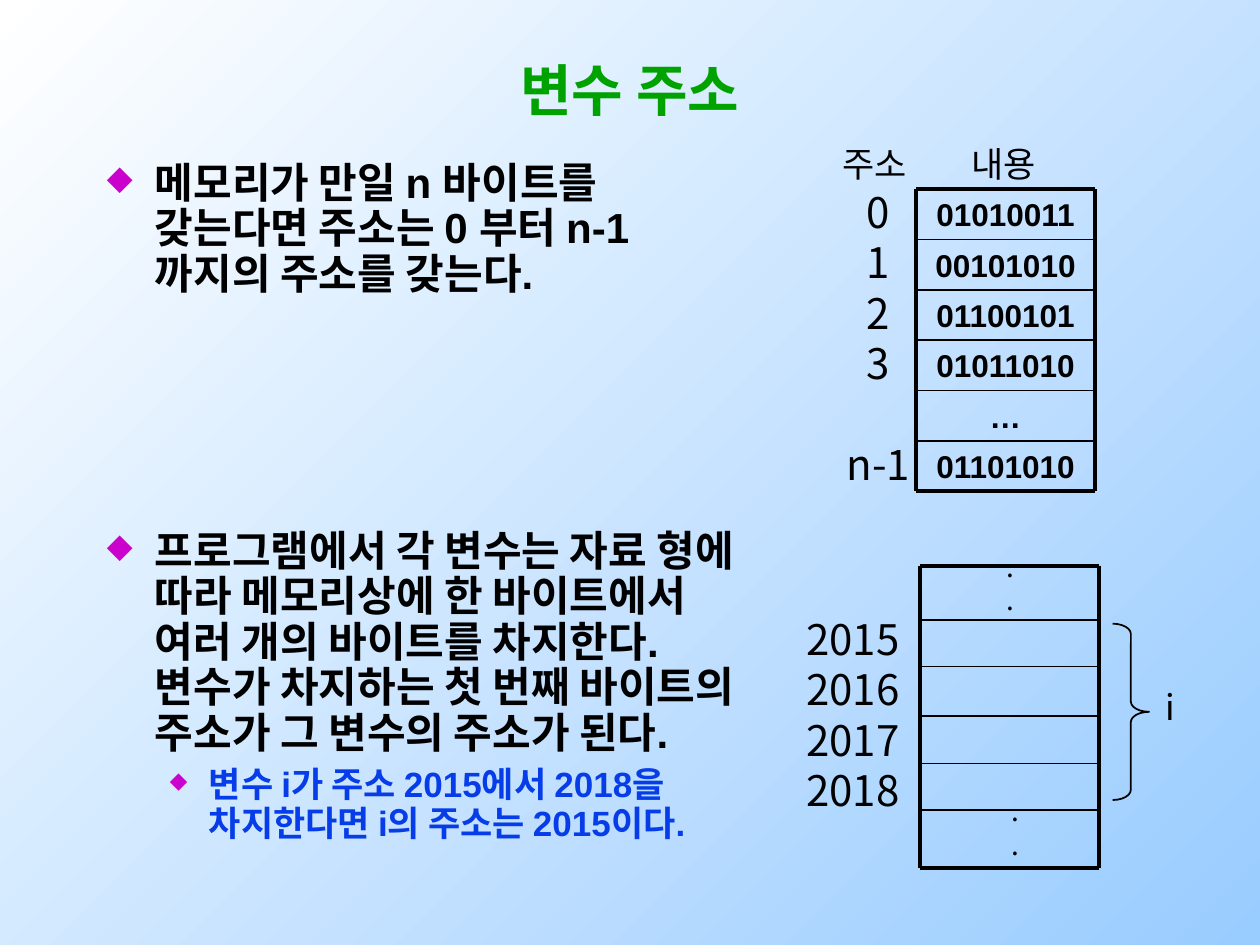
from dataclasses import dataclass

from lxml import etree
from pptx import Presentation
from pptx.dml.color import RGBColor
from pptx.enum.shapes import MSO_CONNECTOR, MSO_SHAPE
from pptx.enum.text import MSO_ANCHOR, PP_ALIGN
from pptx.oxml.ns import qn
from pptx.util import Inches, Pt

STRAIGHT = MSO_CONNECTOR.STRAIGHT
RIGHT_BRACE = MSO_SHAPE.RIGHT_BRACE
TOP, MIDDLE = MSO_ANCHOR.TOP, MSO_ANCHOR.MIDDLE
LEFT, CENTER = PP_ALIGN.LEFT, PP_ALIGN.CENTER
LATIN, KOREAN = "Arial", "Noto Sans CJK KR"
COLORS = {
    "white": "FFFFFF",
    "sky": "99CCFF",
    "title": "00A200",
    "ink": "000000",
    "detail": "063DE8",
    "bullet": "CC00CC",
}


@dataclass(frozen=True)
class Style:
    size: float
    font: str = KOREAN
    color: str = "ink"
    bold: bool = False
    align: PP_ALIGN = CENTER
    spacing: float | None = None


@dataclass(frozen=True)
class Bullet:
    text: str
    style: Style
    indent: float
    hanging: float
    percent: int
    level: int = 0
    before: float = 0


@dataclass(frozen=True)
class Label:
    left: float
    top: float
    width: float
    height: float
    lines: tuple[str, ...]
    style: Style
    anchor: MSO_ANCHOR = MIDDLE
    wrap: bool = True


@dataclass(frozen=True)
class Memory:
    left: float
    width: float
    edges: tuple[float, ...]


TITLE = Style(32, LATIN, "title", True)
POINT = Style(24, LATIN, "ink", True, LEFT, 26)
DETAIL = Style(20, LATIN, "detail", True, LEFT, 22.3)
ADDRESS = Style(24, spacing=28.8)
HEADER = Style(20, align=LEFT)
CONTENT = Style(18, LATIN, bold=True)
DOTS = Style(16, spacing=19.2)

CELL_HEIGHT = 0.4
CONTENTS = ("01010011", "00101010", "01100101", "01011010", "…", "01101010")
BYTES = Memory(7.27, 1.42, tuple(1.5 + CELL_HEIGHT * row for row in range(len(CONTENTS) + 1)))
VARIABLE = Memory(7.3, 1.42, (4.49, 4.92, 5.29, 5.68, 6.06, 6.43, 6.89))

LABELS = (
    Label(0.75, 0.33, 8.5, 0.75, ("변수 주소",), TITLE),
    Label(6.59, 1.08, 0.71, 0.44, ("주소",), HEADER, wrap=False),
    Label(7.61, 1.08, 0.71, 0.44, ("내용",), HEADER, wrap=False),
    Label(6.38, 1.43, 1.18, 1.7, ("0", "1", "2", "3"), ADDRESS, TOP),
    Label(6.38, 3.43, 1.18, 0.5, ("n-1",), ADDRESS, TOP),
    Label(6.18, 4.82, 1.18, 1.7, ("2015", "2016", "2017", "2018"), ADDRESS, TOP),
    Label(9.15, 5.39, 0.27, 0.44, ("i",), HEADER, wrap=False),
    Label(7.89, 4.31, 0.24, 0.63, (".", "."), DOTS, TOP),
    Label(7.93, 6.25, 0.24, 0.63, (".", "."), DOTS, TOP),
)

MEMORY_POINT = Bullet(
    "메모리가 만일 n 바이트를 갖는다면 주소는 0 부터 n-1 까지의 주소를 갖는다.",
    POINT, 0.38, 0.38, 80,
)
VARIABLE_POINT = Bullet(
    "프로그램에서 각 변수는 자료 형에 따라 메모리상에 한 바이트에서 여러 개의 "
    "바이트를 차지한다. 변수가 차지하는 첫 번째 바이트의 주소가 그 변수의 주소가 된다.",
    POINT, 0.38, 0.38, 80,
)
EXAMPLE = Bullet(
    "변수 i가 주소 2015에서 2018을 차지한다면 i의 주소는 2015이다.",
    DETAIL, 0.81, 0.31, 65, 1, 5,
)


def rgb(name: str) -> RGBColor:
    return RGBColor.from_string(COLORS[name])


def add_frame(page, left: float, top: float, width: float, height: float,
              anchor: MSO_ANCHOR = TOP, wrap: bool = True):
    box = page.shapes.add_textbox(Inches(left), Inches(top), Inches(width), Inches(height))
    frame = box.text_frame
    frame.word_wrap = wrap
    frame.vertical_anchor = anchor
    return frame


def write(para, text: str, style: Style) -> None:
    para.alignment = style.align
    if style.spacing:
        para.line_spacing = Pt(style.spacing)
    span = para.add_run()
    span.text = text
    span.font.size = Pt(style.size)
    span.font.bold = style.bold
    span.font.color.rgb = rgb(style.color)
    span.font.name = style.font
    etree.SubElement(span.font._element, qn("a:ea"), typeface=KOREAN)


def add_label(page, label: Label) -> None:
    frame = add_frame(page, label.left, label.top, label.width, label.height,
                      label.anchor, label.wrap)
    for index, line in enumerate(label.lines):
        para = frame.add_paragraph() if index else frame.paragraphs[0]
        write(para, line, label.style)


def add_bullets(page, top: float, height: float, bullets: tuple[Bullet, ...]) -> None:
    frame = add_frame(page, 0.75, top, 5.35, height)
    for index, bullet in enumerate(bullets):
        para = frame.add_paragraph() if index else frame.paragraphs[0]
        properties = para._p.get_or_add_pPr()
        properties.set("marL", str(Inches(bullet.indent)))
        properties.set("indent", str(-Inches(bullet.hanging)))
        color = etree.SubElement(properties, qn("a:buClr"))
        etree.SubElement(color, qn("a:srgbClr"), val=COLORS["bullet"])
        etree.SubElement(properties, qn("a:buSzPct"), val=str(bullet.percent * 1000))
        etree.SubElement(properties, qn("a:buChar"), char="◆")
        para.level = bullet.level
        if index:
            para.space_before = Pt(bullet.before)
        write(para, bullet.text, bullet.style)


def add_line(page, start: tuple[float, float], end: tuple[float, float], weight: float) -> None:
    line = page.shapes.add_connector(STRAIGHT, *map(Inches, start + end))
    line.line.color.rgb = rgb("ink")
    line.line.width = Pt(weight)
    etree.SubElement(line._element.spPr, qn("a:effectLst"))


def add_memory(page, memory: Memory) -> None:
    right = memory.left + memory.width
    top, bottom = memory.edges[0], memory.edges[-1]
    for edge in memory.edges:
        weight = 2.25 if edge in (top, bottom) else 1
        add_line(page, (memory.left, edge), (right, edge), weight)
    for side in (memory.left, right):
        add_line(page, (side, top), (side, bottom), 2.25)


def add_brace(page) -> None:
    brace = page.shapes.add_shape(RIGHT_BRACE, Inches(8.83), Inches(4.95),
                                  Inches(0.29), Inches(1.4))
    brace.adjustments[0] = 0.28
    brace.shadow.inherit = False
    brace.fill.background()
    brace.line.color.rgb = rgb("ink")
    brace.line.width = Pt(1)


def paint_background(page) -> None:
    fill = page.background.fill
    fill.gradient()
    fill.gradient_angle = 315
    for stop, name in zip(fill.gradient_stops, ("white", "sky")):
        stop.color.rgb = rgb(name)


def main() -> None:
    deck = Presentation()
    deck.slide_width, deck.slide_height = Inches(10), Inches(7.5)
    page = deck.slides.add_slide(deck.slide_layouts[6])
    paint_background(page)
    add_bullets(page, 1.23, 1.25, (MEMORY_POINT,))
    add_bullets(page, 4.15, 2.7, (VARIABLE_POINT, EXAMPLE))
    for top, content in zip(BYTES.edges, CONTENTS):
        add_label(page, Label(BYTES.left, top, BYTES.width, CELL_HEIGHT, (content,), CONTENT))
    for memory in (BYTES, VARIABLE):
        add_memory(page, memory)
    for label in LABELS:
        add_label(page, label)
    add_brace(page)
    deck.save("out.pptx")


if __name__ == "__main__":
    main()
